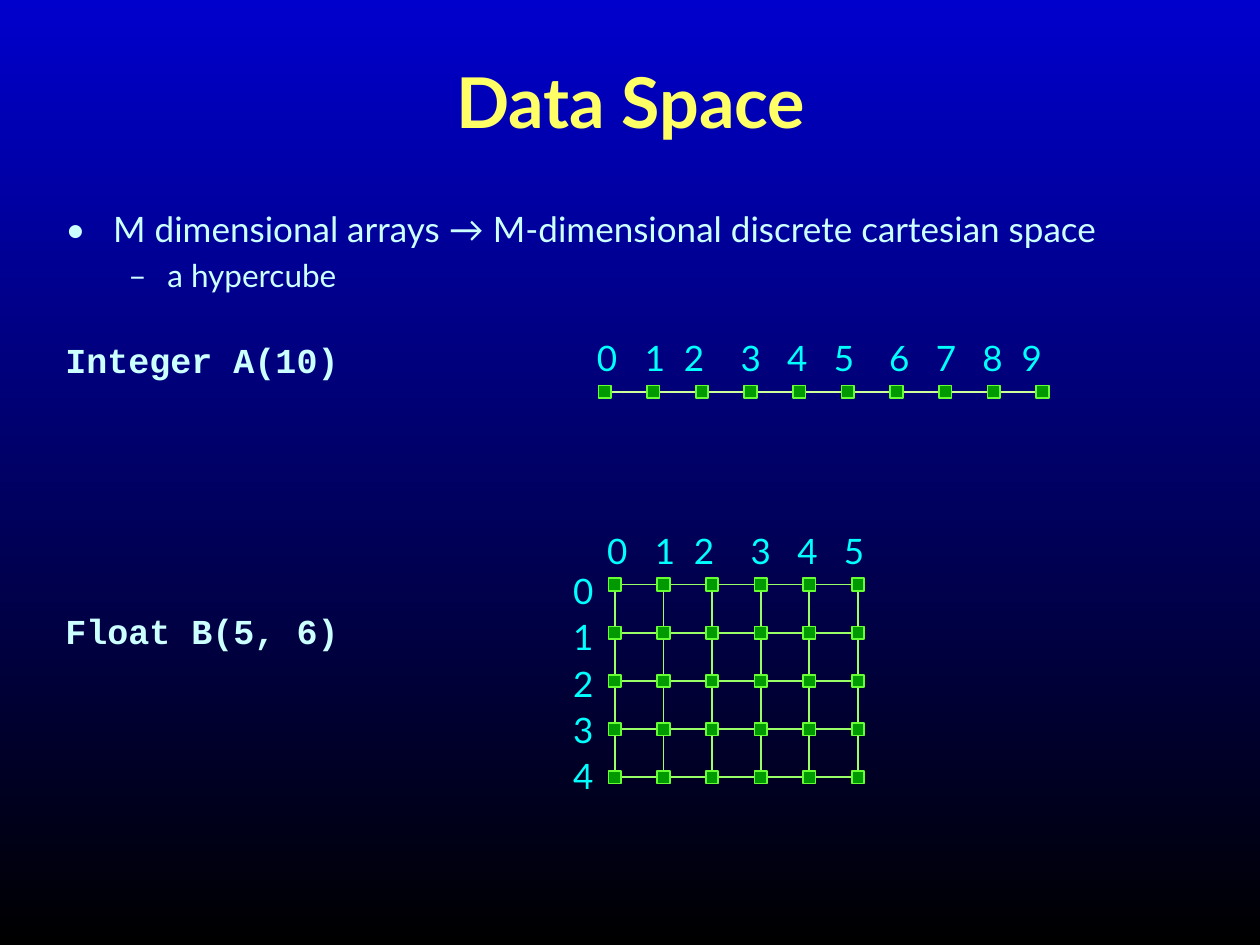
import pptx
import pptx.dml.color
import pptx.enum.dml
import pptx.enum.shapes
import pptx.enum.text
import pptx.oxml
import pptx.oxml.ns
import pptx.util
from pptx.util import Inches

PITCH_X, PITCH_Y = 1.93 / 5, 1.53 / 4
NODE = 0.1
DIGIT_TABS = [0.37, 0.75, 1.06, 1.51, 1.88, 2.25, 2.69, 3.06, 3.43, 3.74]


def color(hex_value):
    """Turn a hex string into a colour."""
    return pptx.dml.color.RGBColor.from_string(hex_value)


def add_xml(parent, tag, **attributes):
    """Append a drawing element with the given attributes."""
    element = pptx.oxml.parse_xml(f"<a:{tag} {pptx.oxml.ns.nsdecls('a')}/>")
    for name, value in attributes.items():
        element.set(name, str(value))
    parent.append(element)
    return element


class Deck:
    """Holds the style and the current slide."""

    font, code_font = "Lato", "Courier New"
    title, body, index = "FFFF66", "CCFFFF", "00FFFF"
    cell_line, axis_line = "99FF66", "CCFF99"
    node_fill, node_line = "009900", "66FF33"

    def __init__(self):
        """Start a presentation with one blank slide."""
        self.file = pptx.Presentation()
        self.file.slide_width, self.file.slide_height = Inches(10), Inches(7.5)
        self.slide = self.file.slides.add_slide(self.file.slide_layouts[6])

    def background(self, top, bottom):
        """Fill the slide with a vertical gradient."""
        fill = self.slide.background.fill
        fill.gradient()
        fill.gradient_angle = 270
        for stop, shade in zip(fill.gradient_stops, (top, bottom)):
            stop.color.rgb = color(shade)

    def group(self):
        """Add a group and return its shapes."""
        return self.slide.shapes.add_group_shape().shapes

    def text_box(self, shapes, left, top, width, height):
        """Add an empty wrapping text box and return its frame."""
        frame = shapes.add_textbox(*map(Inches, (left, top, width, height))).text_frame
        frame.word_wrap = True
        return frame

    def paragraph(self, frame, text, size, shade, font=None, bold=False, before=0,
                  spacing=None, level=0, margin=0, hang=0, bullet=None, tabs=()):
        """Write one styled paragraph into a frame."""
        line = frame.paragraphs[0]
        if line.text:
            line = frame.add_paragraph()
        line.text = text
        line.level = level
        line.space_before = pptx.util.Pt(before)
        if spacing:
            line.line_spacing = spacing
        properties = line._p.get_or_add_pPr()
        if margin:
            properties.set("marL", str(Inches(margin)))
            properties.set("indent", str(Inches(-hang)))
        if bullet:
            add_xml(properties, "buFont", typeface=self.font)
            add_xml(properties, "buChar", char=bullet)
        elif margin:
            add_xml(properties, "buNone")
        if tabs:
            stops = add_xml(properties, "tabLst")
            for position in tabs:
                add_xml(stops, "tab", pos=Inches(position), algn="ctr")
        line.font.name = font or self.font
        line.font.size = pptx.util.Pt(size)
        line.font.bold = bold
        line.font.color.rgb = color(shade)
        return line

    def rectangle(self, shapes, left, top, width, height, line, fill=None):
        """Add an outlined rectangle, hollow unless a fill is given."""
        box = shapes.add_shape(pptx.enum.shapes.MSO_SHAPE.RECTANGLE,
                               *map(Inches, (left, top, width, height)))
        box.shadow.inherit = False
        if fill:
            box.fill.solid()
            box.fill.fore_color.rgb = color(fill)
        else:
            box.fill.background()
        box.line.color.rgb = color(line)
        box.line.width = pptx.util.Pt(1)

    def axis(self, shapes, left, right, y):
        """Add a thin horizontal line."""
        line = shapes.add_connector(pptx.enum.shapes.MSO_CONNECTOR.STRAIGHT,
                                    *map(Inches, (left, y, right, y)))
        line.line.color.rgb = color(self.axis_line)
        line.line.width = pptx.util.Pt(1)
        add_xml(line._element.spPr, "effectLst")

    def cells(self, shapes, left, top, columns, rows):
        """Draw a grid of hollow cells."""
        for row in range(rows):
            for column in range(columns):
                self.rectangle(shapes, left + column * PITCH_X, top + row * PITCH_Y,
                               PITCH_X, PITCH_Y, self.cell_line)

    def nodes(self, shapes, left, top, columns, rows=1):
        """Draw a grid of square nodes, the first centred on left, top."""
        for row in range(rows):
            for column in range(columns):
                self.rectangle(shapes, left + column * PITCH_X - NODE / 2,
                               top + row * PITCH_Y - NODE / 2,
                               NODE, NODE, self.node_line, self.node_fill)

    def column_indices(self, shapes, left, top, width, count):
        """Write the indices 0 to count - 1 in a row on centred tabs."""
        frame = self.text_box(shapes, left, top, width, 0.43)
        digits = "".join(f"\t{number}" for number in range(count))
        self.paragraph(frame, digits, 20, self.index, tabs=DIGIT_TABS[:count])

    def row_indices(self, shapes, left, top, height, count):
        """Write the indices 0 to count - 1 one below the other."""
        frame = self.text_box(shapes, left, top, 0.35, height)
        for number in range(count):
            self.paragraph(frame, str(number), 20, self.index, spacing=1.1)


deck = Deck()
deck.background("0000CC", "000000")
slide_shapes = deck.slide.shapes

heading = deck.text_box(slide_shapes, 0.42, 0.17, 9.17, 1.25)
heading.vertical_anchor = pptx.enum.text.MSO_ANCHOR.MIDDLE
data_space = deck.paragraph(heading, "Data Space", 40, deck.title, bold=True)
data_space.alignment = pptx.enum.text.PP_ALIGN.CENTER

content = deck.text_box(slide_shapes, 0.42, 1.6, 9.17, 5.67)
deck.paragraph(content, "M dimensional arrays → M-dimensional discrete cartesian space",
               20, deck.body, before=4.5, margin=0.38, hang=0.38, bullet="•")
deck.paragraph(content, "a hypercube", 18, deck.body, before=3.6, level=1,
               margin=0.81, hang=0.31, bullet="–")
for declaration, gap in (("Integer A(10)", 28.5), ("Float B(5, 6)", 133)):
    deck.paragraph(content, declaration, 20, deck.body, font=deck.code_font, bold=True,
                   before=gap, spacing=0.9, margin=0.38, hang=0.38)

array_b = deck.group()
deck.cells(array_b, 4.88, 4.64, columns=5, rows=4)
deck.column_indices(array_b, 4.43, 4.15, 2.89, 6)
deck.row_indices(array_b, 4.45, 4.44, 2.3, 5)
deck.nodes(array_b, 4.88, 4.64, columns=6, rows=5)

array_a = deck.group()
deck.axis(array_a, 4.8, 4.8 + 9 * PITCH_X, 3.11)
deck.column_indices(array_a, 4.35, 2.62, 5.2, 10)
deck.nodes(array_a, 4.8, 3.11, columns=10)

deck.file.save("out.pptx")
